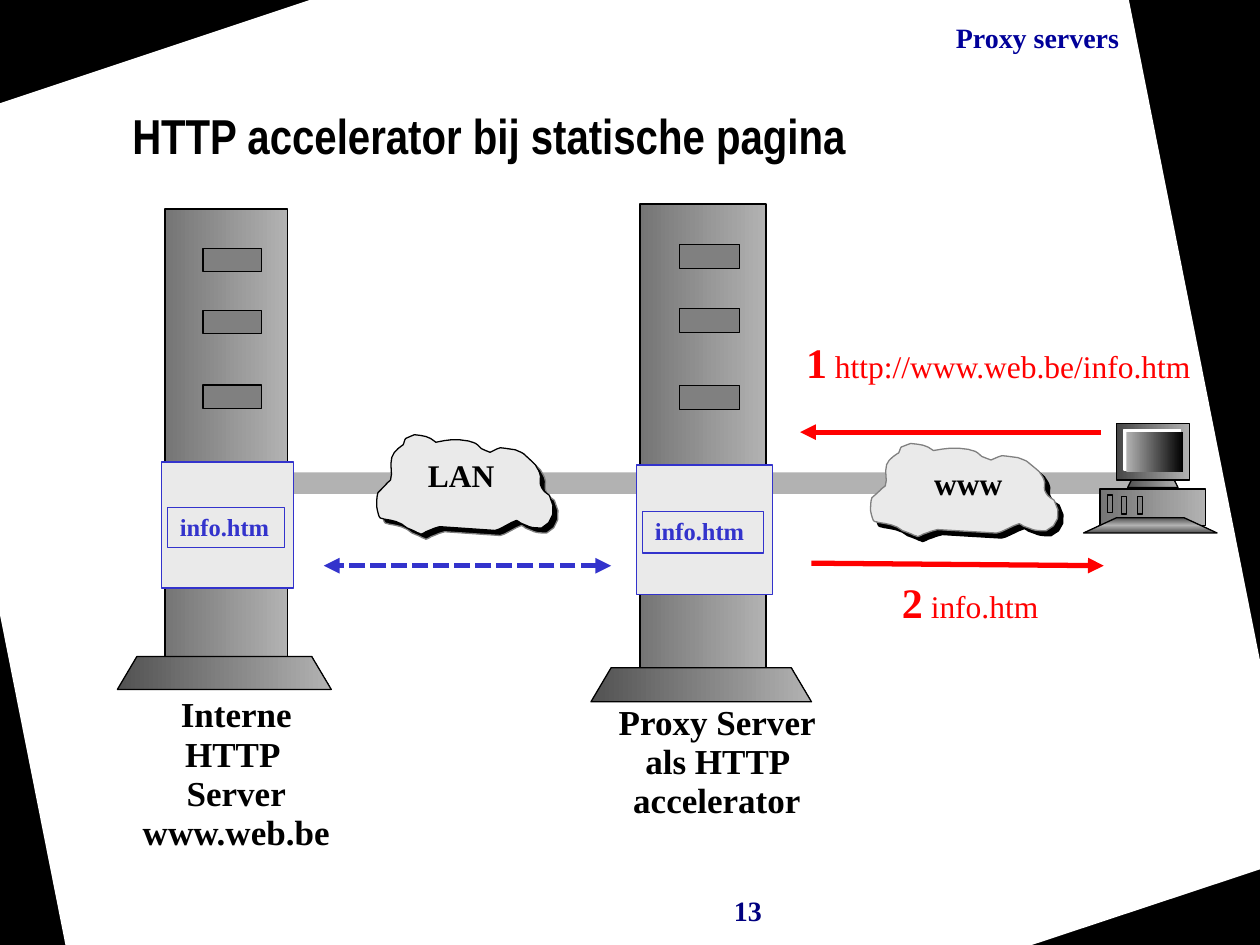
"""Build the slide on an HTTP accelerator serving a static page."""
from copy import deepcopy
from dataclasses import dataclass

from lxml import etree
from pptx import Presentation
from pptx.dml.color import RGBColor
from pptx.enum.dml import MSO_LINE
from pptx.enum.shapes import MSO_CONNECTOR, MSO_SHAPE
from pptx.enum.text import MSO_ANCHOR, MSO_AUTO_SIZE, PP_ALIGN
from pptx.oxml.ns import qn
from pptx.util import Inches, Pt


@dataclass(frozen=True)
class Theme:
    serif: str = "Times New Roman"
    narrow: str = "Arial Narrow"
    black: str = "000000"
    white: str = "FFFFFF"
    header: str = "000099"
    number: str = "000080"
    blue: str = "3333CC"
    red: str = "FF0000"
    pale: str = "EAEAEA"
    metal: str = "B2B2B2"
    slot: str = "808080"
    body: tuple = ("757575", "B2B2B2")
    foot: tuple = ("525252", "B2B2B2")
    monitor: tuple = ("464646", "B2B2B2")
    screen: tuple = ("B2B2B2", "000000")
    keyboard: tuple = ("525252", "B2B2B2", "525252")
    title: int = 28
    step: int = 24
    caption: int = 20
    label: int = 18
    small: int = 16
    page: int = 14
    thin: float = 0.75
    thick: int = 3


T = Theme()
L, C, R = PP_ALIGN.LEFT, PP_ALIGN.CENTER, PP_ALIGN.RIGHT
TITLE = "HTTP accelerator bij statische pagina"
PAPER = [(8.96, 0), (2.46, 0), (0, 0.82), (0, 4.88), (0.52, 7.5),
         (8.19, 7.5), (10, 6.9), (10, 5.24), (8.96, 0)]
TOWERS = [dict(x=5.08, y=1.62, base=5.3, k=1), dict(x=1.31, y=1.66, base=5.21, k=0.97)]
SLOTS = [0.32, 0.83, 1.44]
PAGE = "info.htm"

CLOUD_SIZE = (143, 78)
CLOUD_START = (50, 73)
CLOUD_CURVES = [
    (43, 75, 47, 74, 39, 77), (38, 78, 35, 79, 35, 79), (34, 78, 32, 78, 31, 77),
    (29, 76, 24, 74, 24, 74), (19, 69, 12, 68, 6, 67), (4, 66, 3, 67, 2, 65),
    (1, 63, 0, 57, 0, 57), (0, 53, 0, 49, 1, 46), (2, 45, 3, 44, 4, 43),
    (14, 33, 2, 44, 11, 36), (13, 29, 10, 26, 12, 18), (13, 13, 21, 8, 21, 8),
    (22, 6, 22, 4, 23, 3), (25, 2, 30, 0, 30, 0), (38, 1, 41, 1, 47, 6),
    (57, 4, 62, 3, 73, 5), (75, 6, 78, 6, 80, 8), (81, 9, 82, 10, 83, 11),
    (85, 12, 90, 14, 90, 14), (101, 9, 94, 10, 110, 12), (119, 16, 114, 13, 123, 21),
    (124, 22, 126, 24, 126, 24), (128, 28, 129, 28, 130, 33), (130, 36, 129, 39, 131, 42),
    (132, 45, 137, 48, 137, 48), (143, 59, 140, 70, 131, 74), (127, 74, 124, 74, 121, 73),
    (119, 72, 116, 71, 114, 70), (113, 69, 111, 68, 111, 68), (107, 69, 97, 76, 94, 76),
    (79, 75, 65, 74, 50, 73)]
CLOUDS = [
    dict(at=(2.99, 3.45, 1.43, 0.78), edges=(T.slot, T.black), text="LAN", box=(3.26, 3.58, 0.8, 0.4)),
    dict(at=(6.91, 3.52, 1.52, 0.73), edges=(T.black, T.slot), text="www", box=(7.26, 3.64, 0.85, 0.4))]
SHADOW = 0.04

PC_BOXES = [
    ((8.86, 3.36, 0.58, 0.45), T.monitor, T.black),
    ((8.92, 3.41, 0.45, 0.32), T.white, T.white),
    ((8.94, 3.43, 0.45, 0.32), T.screen, None),
    ((8.73, 3.88, 0.84, 0.29), T.body, T.black)]
PC_DRIVES = [(8.79, 3.93), (8.9, 3.94), (9.03, 3.94)]

ARROWS = [((6.44, 4.47), (8.76, 4.49), T.red, False),
          ((4.85, 4.49), (2.57, 4.49), T.blue, True),
          ((8.74, 3.43), (6.35, 3.43), T.red, False)]
LABELS = [((3.88, 0.13, 5.1, 0.36), "Proxy servers", T.small, T.header, R),
          ((5.55, 7.06, 0.77, 0.36), "13", T.small, T.number, C)]
CAPTIONS = [((1, 5.46, 1.75, 1.36), ["Interne\vHTTP \vServer", "www.web.be"]),
            ((4.69, 5.52, 2, 1.05), ["Proxy Server als HTTP accelerator"])]
STEPS = [((6.3, 2.64, 3.27, 0.5), "1", " http://www.web.be/info.htm"),
         ((7.06, 4.54, 1.28, 0.5), "2", " info.htm")]


def rgb(c):
    return RGBColor.from_string(c)


def style(sp, fill, line):
    sp.shadow.inherit = False
    if fill is None:
        sp.fill.background()
    elif isinstance(fill, str):
        sp.fill.solid()
        sp.fill.fore_color.rgb = rgb(fill)
    else:
        sp.fill.gradient()
        stops = sp._element.spPr.find(qn("a:gradFill")).find(qn("a:gsLst"))
        for _ in fill[2:]:
            stops.append(deepcopy(stops[-1]))
        for i, (stop, c) in enumerate(zip(sp.fill.gradient_stops, fill)):
            stop.position = i / (len(fill) - 1)
            stop.color.rgb = rgb(c)
        sp.fill.gradient_angle = 270 if len(fill) > 2 else 0
    if line:
        sp.line.color.rgb = rgb(line)
        sp.line.width = Pt(T.thin)
    else:
        sp.line.fill.background()
    return sp


def box(s, at, fill, line=None):
    return style(s.shapes.add_shape(MSO_SHAPE.RECTANGLE, *map(Inches, at)), fill, line)


def outline(s, points, fill, line=None):
    pts = [(Inches(x), Inches(y)) for x, y in points]
    fb = s.shapes.build_freeform(*pts[0], scale=1.0)
    fb.add_line_segments(pts[1:], close=True)
    return style(fb.convert_to_shape(), fill, line)


def foot(s, x, y, w, h, inset):
    outline(s, [(x, y + h), (x + w, y + h), (x + w - inset, y), (x + inset, y)],
            T.keyboard if inset > 0.2 else T.foot, T.black)


def write(sp, paragraphs, align=L, top=0.07, spacing=0.93, wrap=True, anchor=MSO_ANCHOR.TOP):
    tf = sp.text_frame
    tf.word_wrap, tf.auto_size, tf.vertical_anchor = wrap, MSO_AUTO_SIZE.NONE, anchor
    tf.margin_left = tf.margin_right = Inches(0.1)
    tf.margin_top, tf.margin_bottom = Inches(top), Inches(0.05)
    for i, runs in enumerate(paragraphs):
        p = tf.add_paragraph() if i else tf.paragraphs[0]
        p.alignment, p.line_spacing, p.space_before = align, spacing, Pt(0)
        for text, size, color, bold, font in runs:
            for n, part in enumerate(text.split("\v")):
                if n:
                    p.add_line_break()
                r = p.add_run()
                r.text = part
                r.font.size, r.font.bold, r.font.name = Pt(size), bold, font
                r.font.color.rgb = rgb(color)


def textbox(s, at, paragraphs, **options):
    write(s.shapes.add_textbox(*map(Inches, at)), paragraphs, **options)


def cloud(s, at, edges, text, box):
    x, y, w, h = at
    pts, start = [CLOUD_START], CLOUD_START
    for a, b, c, d, e, f in CLOUD_CURVES:
        for t in (0.25, 0.5, 0.75, 1):
            u = 1 - t
            pts.append(tuple(u**3 * p0 + 3 * u * u * t * p1 + 3 * u * t * t * p2 + t**3 * p3
                             for p0, p1, p2, p3 in zip(start, (a, b), (c, d), (e, f))))
        start = (e, f)
    for shift, fill, edge in zip((SHADOW, 0), (T.black, T.pale), edges):
        outline(s, [(x + shift + px * w / CLOUD_SIZE[0], y + shift + py * h / CLOUD_SIZE[1])
                    for px, py in pts], fill, edge)
    textbox(s, box, [[(text, T.label, T.black, True, T.serif)]], align=C)


def arrow(s, start, end, color, dotted):
    cn = s.shapes.add_connector(MSO_CONNECTOR.STRAIGHT, *map(Inches, start + end))
    cn.line.color.rgb = rgb(color)
    cn.line.width = Pt(T.thick)
    if dotted:
        cn.line.dash_style = MSO_LINE.SQUARE_DOT
    for tag in ("a:headEnd", "a:tailEnd") if dotted else ("a:tailEnd",):
        etree.SubElement(cn.line._get_or_add_ln(), qn(tag), type="triangle")
    etree.SubElement(cn._element.spPr, qn("a:effectLst"))


def tower(s, x, y, base, k):
    def part(dx, dy, w, h, fill, line):
        return box(s, (x + dx * k, y + dy * k, w * k, h * k), fill, line)

    part(0, 0, 1, 3.89, T.body, T.black)
    for dy in SLOTS:
        part(0.31, dy, 0.48, 0.19, T.slot, T.black)
    foot(s, x - 0.39 * k, base, 1.75 * k, 0.27 * k, 0.16 * k)
    part(-0.03, 2.07, 1.08, 1.03, T.pale, T.blue)
    write(part(0.02, 2.44, 0.96, 0.33, None, T.blue),
          [[(PAGE, T.page, T.blue, True, T.serif)]], top=0.06)


def main():
    prs = Presentation()
    prs.slide_width, prs.slide_height = Inches(10), Inches(7.5)
    s = prs.slides.add_slide(prs.slide_layouts[5])
    s.background.fill.solid()
    s.background.fill.fore_color.rgb = rgb(T.black)
    title = s.shapes.title
    title.left, title.top, title.width, title.height = map(Inches, (0.95, 0.79, 8.5, 0.58))
    write(title, [[(TITLE, T.title, T.black, True, T.narrow)]],
          top=0.06, spacing=0.98, anchor=MSO_ANCHOR.MIDDLE)
    paper = outline(s, PAPER, T.white)
    title._element.addprevious(paper._element)
    for at, text, size, color, align in LABELS:
        textbox(s, at, [[(text, size, color, True, T.serif)]], align=align, top=0.05, spacing=0.95)
    box(s, (1.82, 3.75, 7.17, 0.17), T.metal)
    for c in CLOUDS:
        cloud(s, **c)
    foot(s, 8.95, 3.79, 0.4, 0.08, 0.04)
    for args in PC_BOXES:
        box(s, *args)
    foot(s, 8.6, 4.11, 1.06, 0.12, 0.26)
    for x, y in PC_DRIVES:
        box(s, (x, y, 0.04, 0.14), T.slot, T.black)
    for at, lines in CAPTIONS:
        textbox(s, at, [[(t, T.caption, T.black, True, T.serif)] for t in lines], align=C)
    for at, number, text in STEPS:
        textbox(s, at, [[(number, T.step, T.red, True, T.serif),
                         (text, T.label, T.red, False, T.serif)]], wrap=False)
    for args in ARROWS:
        arrow(s, *args)
    for t in TOWERS:
        tower(s, **t)
    prs.save("out.pptx")


if __name__ == "__main__":
    main()
